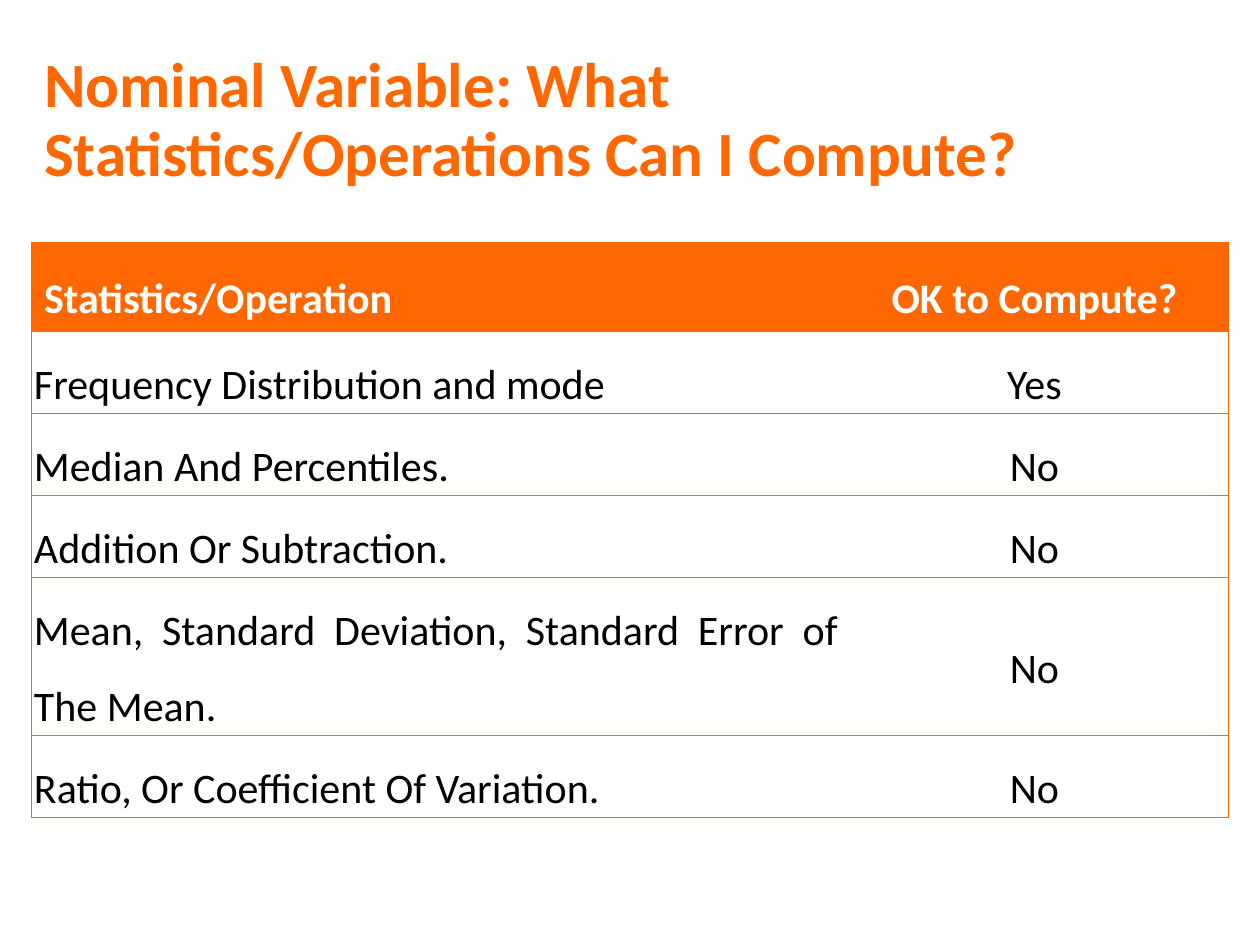
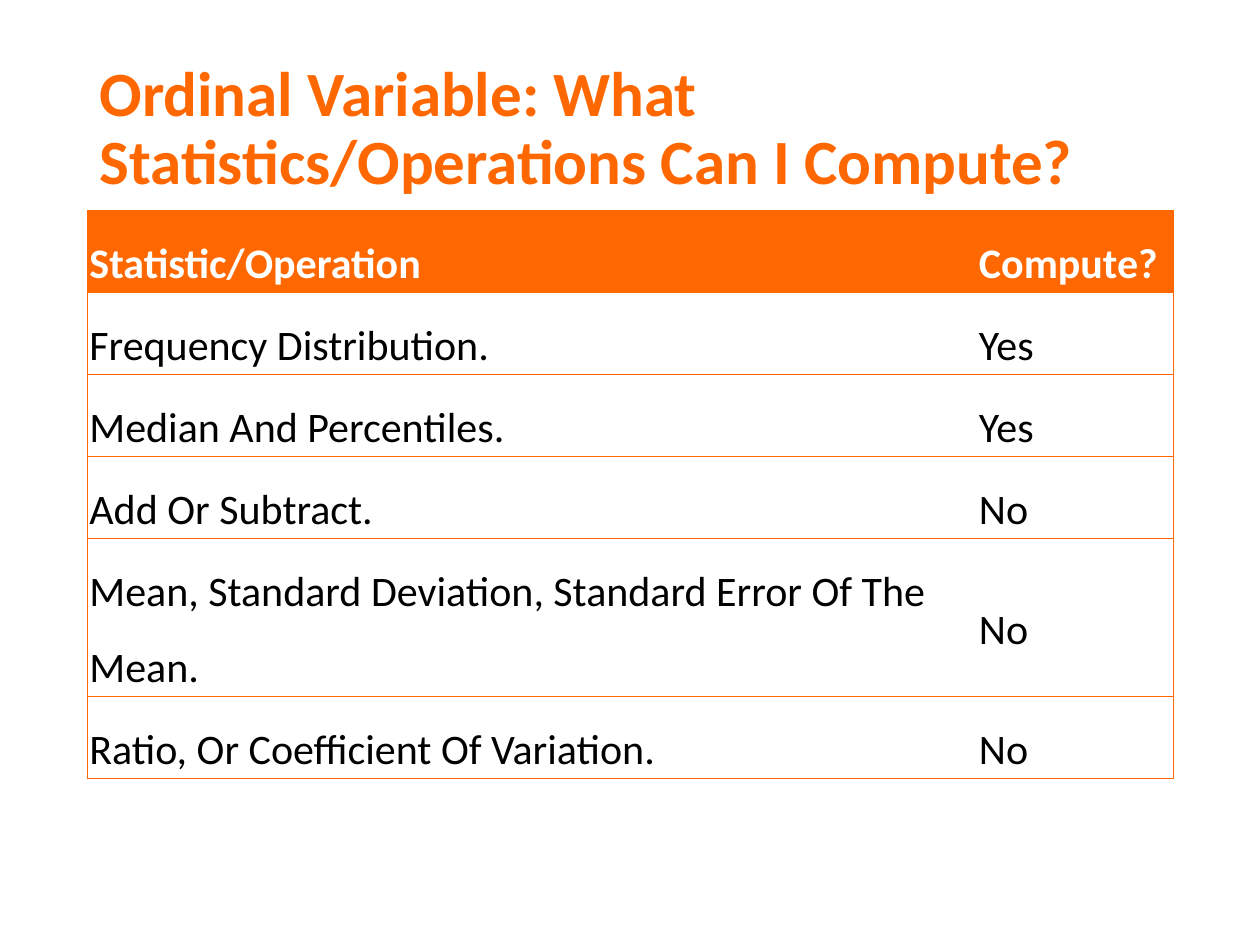
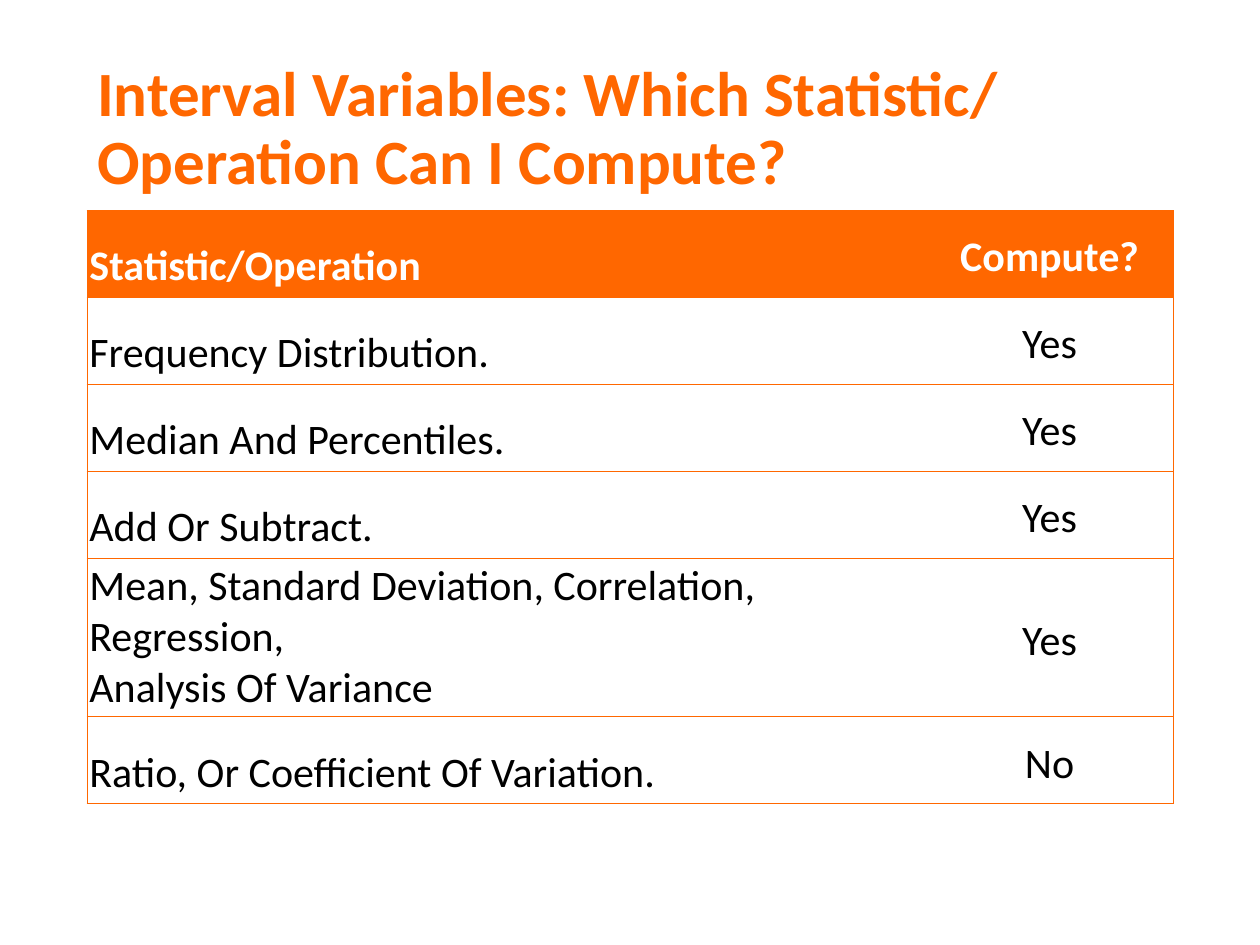
import dataclasses

import lxml.etree
import pptx
import pptx.dml.color
import pptx.enum.text
import pptx.oxml.ns
import pptx.util

Inches = pptx.util.Inches
Pt = pptx.util.Pt
Align = pptx.enum.text.PP_ALIGN
Anchor = pptx.enum.text.MSO_ANCHOR
qn = pptx.oxml.ns.qn


@dataclasses.dataclass(frozen=True)
class Theme:
    font: str = "Calibri"
    accent: str = "FF6700"
    ink: str = "000000"
    paper: str = "FFFFFF"
    head: int = 36
    cell: int = 24
    rule: float = 0.5
    inset: float = 0.02


@dataclasses.dataclass(frozen=True)
class Column:
    width: float
    align: object = Align.LEFT
    space: float = 1.5


THEME = Theme()


def color(code):
    return pptx.dml.color.RGBColor.from_string(code)


def style(para, size, code, bold):
    for run in para.runs:
        font = run.font
        font.name, font.size, font.bold = THEME.font, Pt(size), bold
        font.color.rgb = color(code)


# Title: two bold lines, left aligned, centred in the box
def add_title(slide, text, box):
    title = slide.shapes.title
    title.left, title.top, title.width, title.height = map(Inches, box)
    frame = title.text_frame
    frame.text = text
    frame.word_wrap = True
    frame.auto_size = pptx.enum.text.MSO_AUTO_SIZE.NONE
    frame.vertical_anchor = Anchor.MIDDLE
    para = frame.paragraphs[0]
    para.alignment, para.line_spacing = Align.LEFT, 0.9
    style(para, THEME.head, THEME.accent, True)


# Cell rules: the named sides are drawn, the others left clear
def add_rules(cell, sides):
    props = cell._tc.get_or_add_tcPr()
    for side in "LRTB":
        line = lxml.etree.SubElement(props, qn(f"a:ln{side}"), w=str(Pt(THEME.rule)))
        if side in sides:
            fill = lxml.etree.SubElement(line, qn("a:solidFill"))
            lxml.etree.SubElement(fill, qn("a:srgbClr"), val=THEME.accent)
        else:
            lxml.etree.SubElement(line, qn("a:noFill"))


def fill_cell(cell, text, col, top, side):
    add_rules(cell, side + "TB")
    cell.fill.solid()
    cell.fill.fore_color.rgb = color(THEME.accent if top else THEME.paper)
    cell.vertical_anchor = Anchor.MIDDLE
    cell.margin_left = cell.margin_right = Inches(THEME.inset)
    cell.margin_top = cell.margin_bottom = Inches(THEME.inset)
    cell.text_frame.text = text
    paras = cell.text_frame.paragraphs
    for para in paras:
        para.alignment = col.align
        para.line_spacing = col.space if len(paras) == 1 else 1.0
        style(para, THEME.cell, THEME.paper if top else THEME.ink, top)


# Table: orange heading row, then one row for each operation
def add_grid(slide, rows, cols, highs, left, top):
    width = sum(col.width for col in cols)
    box = map(Inches, (left, top, width, sum(highs)))
    table = slide.shapes.add_table(len(rows), len(cols), *box).table
    table.first_row = table.horz_banding = False
    for c, col in enumerate(cols):
        table.columns[c].width = Inches(col.width)
    for r, (row, high) in enumerate(zip(rows, highs)):
        table.rows[r].height = Inches(high)
        for c, (text, col, side) in enumerate(zip(row, cols, "LR")):
            fill_cell(table.cell(r, c), text, col, r == 0, side)
    return table


def add_page(deck, title, spot, rows, cols, highs, left, top):
    slide = deck.slides.add_slide(deck.slide_layouts[5])
    add_title(slide, title, (*spot, 8.62, 1.27))
    return add_grid(slide, rows, cols, highs, left, top)


def add_nominal(deck):
    rows = [
        ("Statistics/Operation", "OK to Compute?"),
        ("Frequency Distribution and mode", "Yes"),
        ("Median And Percentiles.", "No"),
        ("Addition Or Subtraction.", "No"),
        ("Mean, Standard Deviation, Standard Error of The Mean.", "No"),
        ("Ratio, Or Coefficient Of Variation.", "No"),
    ]
    cols = [Column(6.42, Align.JUSTIFY), Column(3.08, Align.CENTER)]
    highs = [0.71, 0.65, 0.65, 0.65, 1.26, 0.65]
    table = add_page(
        deck, "Nominal Variable: What Statistics/Operations Can I Compute?",
        (0.25, 0.33), rows, cols, highs, 0.25, 1.92)
    # The first heading has wider margins
    head = table.cell(0, 0)
    head.vertical_anchor = Anchor.TOP
    head.margin_left = head.margin_right = Inches(0.1)
    head.margin_top = head.margin_bottom = Inches(0.05)


def add_ordinal(deck):
    rows = [
        ("Statistic/Operation", "Compute?"),
        ("Frequency Distribution.", "Yes"),
        ("Median And Percentiles.", "Yes"),
        ("Add Or Subtract.", "No"),
        ("Mean, Standard Deviation, Standard Error Of The Mean.", "No"),
        ("Ratio, Or Coefficient Of Variation.", "No"),
    ]
    highs = [0.65, 0.65, 0.65, 0.65, 1.26, 0.65]
    add_page(
        deck, "Ordinal Variable: What Statistics/Operations Can I Compute?",
        (0.69, 0.4), rows, [Column(7.06), Column(1.56)], highs, 0.69, 1.67)


def add_interval(deck):
    rows = [
        ("Statistic/Operation", "Compute?"),
        ("Frequency Distribution.", "Yes"),
        ("Median And Percentiles.", "Yes"),
        ("Add Or Subtract.", "Yes"),
        ("Mean, Standard Deviation, Correlation, Regression,\n"
         "Analysis Of Variance", "Yes"),
        ("Ratio, Or Coefficient Of Variation.", "No"),
    ]
    cols = [Column(6.66), Column(1.96, Align.CENTER, 1.15)]
    highs = [0.69, 0.69, 0.69, 0.69, 1.26, 0.69]
    add_page(
        deck, "Interval Variables: Which Statistic/ Operation Can I Compute?",
        (0.67, 0.4), rows, cols, highs, 0.69, 1.67)


def main():
    deck = pptx.Presentation()
    deck.slide_width, deck.slide_height = Inches(10), Inches(7.5)
    add_nominal(deck)
    add_ordinal(deck)
    add_interval(deck)
    deck.save("out.pptx")


if __name__ == "__main__":
    main()
